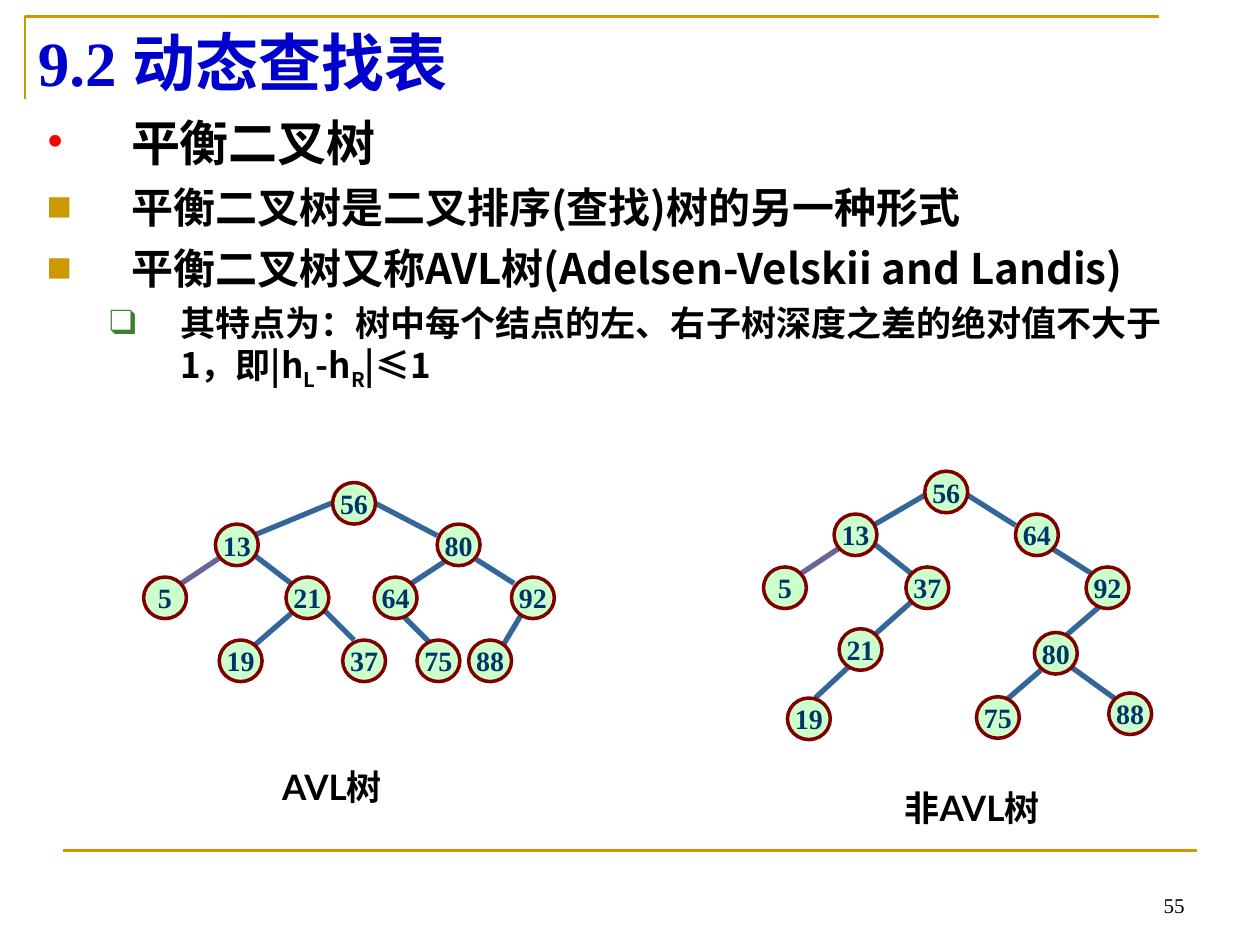
from dataclasses import dataclass

from lxml import etree
from pptx import Presentation, util as u
from pptx.dml.color import RGBColor
from pptx.enum import shapes, text
from pptx.oxml import ns


@dataclass(frozen=True)
class Theme:
    gold: str = "CC9900"
    blue: str = "0000CC"
    ink: str = "000000"
    red: str = "FF0000"
    green: str = "3B812F"
    mint: str = "CCFFCC"
    rim: str = "800000"
    navy: str = "003366"
    edge: str = "336699"
    mauve: str = "666699"
    serif: str = "Times New Roman"
    sans: str = "Lato"
    han: str = "Noto Sans CJK SC"
    title: int = 36
    head: int = 28
    item: int = 24
    sub: int = 20
    node: int = 16
    page: int = 12


class Deck:
    cols, rows = 100, 75

    def __init__(self, theme):
        self.theme = theme
        self.file = Presentation()
        self.file.slide_width = u.Inches(10)
        self.file.slide_height = u.Inches(7.5)
        self.slide = self.file.slides.add_slide(self.file.slide_layouts[1])
        self.shapes = self.slide.shapes

    def x(self, col):
        return round(self.file.slide_width * col / self.cols)

    def y(self, row):
        return round(self.file.slide_height * row / self.rows)

    def box(self, col, row, wide, high):
        return self.x(col), self.y(row), self.x(wide), self.y(high)

    def place(self, shape, box):
        shape.left, shape.top, shape.width, shape.height = self.box(*box)
        frame = shape.text_frame
        frame.auto_size = text.MSO_AUTO_SIZE.NONE
        return frame

    def style(self, par, size, face, tint, bold=True):
        font = par.font
        font.size, font.name, font.bold = u.Pt(size), face, bold
        font.color.rgb = RGBColor.from_string(tint)
        ea = etree.SubElement(font._rPr, ns.qn("a:ea"))
        ea.set("typeface", self.theme.han)

    def stroke(self, line, tint, width):
        line.color.rgb = RGBColor.from_string(tint)
        line.width = u.Pt(width)

    def title(self, words, box):
        frame = self.place(self.shapes.title, box)
        frame.vertical_anchor = text.MSO_ANCHOR.MIDDLE
        par = frame.paragraphs[0]
        par.text, par.alignment = words, text.PP_ALIGN.LEFT
        self.style(par, self.theme.title, self.theme.serif, self.theme.blue)

    def bullet(self, par, mark, tint, left, hang):
        props = par._p.get_or_add_pPr()
        props.set("marL", str(self.x(left)))
        props.set("indent", str(-self.x(hang)))
        color = etree.SubElement(props, ns.qn("a:buClr"))
        etree.SubElement(color, ns.qn("a:srgbClr")).set("val", tint)
        etree.SubElement(props, ns.qn("a:buFont")).set("typeface", self.theme.serif)
        etree.SubElement(props, ns.qn("a:buChar")).set("char", mark)

    def body(self, items, box):
        frame = self.place(self.slide.placeholders[1], box)
        for i, (parts, level, size, gap, mark, tint, left, hang) in enumerate(items):
            par = frame.add_paragraph() if i else frame.paragraphs[0]
            par.level = level
            par.space_before = u.Pt(gap)
            self.bullet(par, mark, tint, left, hang)
            for j, part in enumerate(parts):
                run = par.add_run()
                run.text = part
                if j % 2:
                    run.font._rPr.set("baseline", "-25000")
            self.style(par, size, self.theme.han, self.theme.ink)

    def label(self, words, box, size, face, bold=True, side="CENTER", anchor="TOP"):
        frame = self.place(self.shapes.add_textbox(*self.box(*box)), box)
        frame.word_wrap = True
        frame.vertical_anchor = text.MSO_ANCHOR[anchor]
        par = frame.paragraphs[0]
        par.text, par.alignment = words, text.PP_ALIGN[side]
        self.style(par, size, face, self.theme.ink, bold)

    def line(self, start, end, tint, width):
        link = self.shapes.add_connector(
            shapes.MSO_CONNECTOR.STRAIGHT,
            self.x(start[0]), self.y(start[1]), self.x(end[0]), self.y(end[1]))
        self.stroke(link.line, tint, width)
        etree.SubElement(link._element.spPr, ns.qn("a:effectLst"))

    def corner(self, points):
        spots = [(self.x(col), self.y(row)) for col, row in points]
        pen = self.shapes.build_freeform(*spots[0], scale=1.0)
        pen.add_line_segments(spots[1:], close=False)
        shape = pen.convert_to_shape()
        shape.fill.background()
        shape.shadow.inherit = False
        self.stroke(shape.line, self.theme.gold, 1.5)

    def node(self, words, col, row):
        shape = self.shapes.add_shape(
            shapes.MSO_SHAPE.OVAL, *self.box(col, row, 3.4, 3.3))
        shape.shadow.inherit = False
        shape.fill.solid()
        shape.fill.fore_color.rgb = RGBColor.from_string(self.theme.mint)
        self.stroke(shape.line, self.theme.rim, 2)
        frame = shape.text_frame
        frame.word_wrap = False
        frame.vertical_anchor = text.MSO_ANCHOR.MIDDLE
        par = frame.paragraphs[0]
        par.text, par.alignment = words, text.PP_ALIGN.CENTER
        self.style(par, self.theme.node, self.theme.serif, self.theme.navy)

    def tree(self, nodes, edges, pale, name, box):
        for i, (a, b, c, d) in enumerate(edges):
            tint = self.theme.mauve if i == pale else self.theme.edge
            self.line((a, b), (c, d), tint, 3)
        for key, (col, row) in nodes.items():
            self.node(str(key), col, row)
        self.label(name, box, self.theme.sub, self.theme.sans)


AVL = {
    56: (26.4, 38.3), 13: (17.1, 41.6), 80: (34.7, 41.6),
    5: (11.4, 45.8), 21: (22.7, 45.8), 64: (29.7, 45.8), 92: (40.6, 45.8),
    19: (17.4, 50.8), 37: (27.2, 50.8), 75: (33.1, 50.8), 88: (37.2, 50.8),
}
AVL_EDGES = [
    (26.4, 39.9, 20.1, 42.5), (17.4, 44.3, 14.4, 46.3),
    (29.7, 39.9, 34.7, 42.5), (20.1, 44, 23.1, 46.3),
    (23.1, 48.7, 19.4, 51.9), (37.8, 44.4, 40.8, 46.3),
    (36, 44.1, 32.2, 46.6), (31.4, 48.3, 34.7, 51.6),
    (42.2, 47.4, 39.7, 51.6), (25.6, 48.3, 28.1, 50.8),
]
SKEW = {
    56: (73.4, 37.4), 13: (66.2, 40.8), 64: (80.6, 40.8),
    5: (60.6, 45), 37: (71.9, 45), 92: (86.2, 45),
    21: (66.6, 49.9), 80: (82.1, 50.2),
    19: (62.5, 55.4), 75: (77.5, 55.3), 88: (88, 55),
}
SKEW_EDGES = [
    (73.4, 39.3, 69.3, 41.7), (66.6, 43.5, 63.6, 45.5),
    (76.8, 39.3, 80.6, 41.7), (69.3, 43.1, 72.3, 45.5),
    (72.3, 47.8, 68.6, 51.1), (83.6, 43.6, 86.6, 45.5),
    (87.2, 48.2, 84.3, 50.7), (85.1, 53, 88.7, 55.6),
    (67.7, 52.6, 64.7, 55.4), (82.6, 53.2, 79.7, 55.7),
]


def main():
    look = Theme()
    deck = Deck(look)
    deck.corner([(2, 7.9), (2, 1.3), (92, 1.3)])
    deck.line((5, 67.5), (95, 67.5), look.gold, 1.5)
    deck.label("55", (71.7, 68.3, 23.3, 5), look.page, look.serif,
               False, "RIGHT", "BOTTOM")
    deck.title("9.2 动态查找表", (2, 1.3, 90, 7.1))
    square = (0, look.item, 6, "■", look.gold, 6.7, 6.7)
    deck.body([
        (["平衡二叉树"], 0, look.head, 0, "•", look.red, 6.7, 6.7),
        (["平衡二叉树是二叉排序(查找)树的另一种形式"], *square),
        (["平衡二叉树又称AVL树(Adelsen-Velskii and Landis)"], *square),
        (["其特点为：树中每个结点的左、右子树深度之差的绝对值不大于1，即|h",
          "L", "-h", "R", "|≤1"],
         1, look.sub, 5, "❑", look.green, 10.6, 5.6),
    ], (2.7, 8.4, 92.1, 58.3))
    deck.tree(AVL, AVL_EDGES, 1, "AVL树", (20.1, 60.3, 12.5, 4.4))
    deck.tree(SKEW, SKEW_EDGES, 1, "非AVL树", (68.9, 61.9, 16.5, 4.4))
    deck.file.save("out.pptx")


if __name__ == "__main__":
    main()
